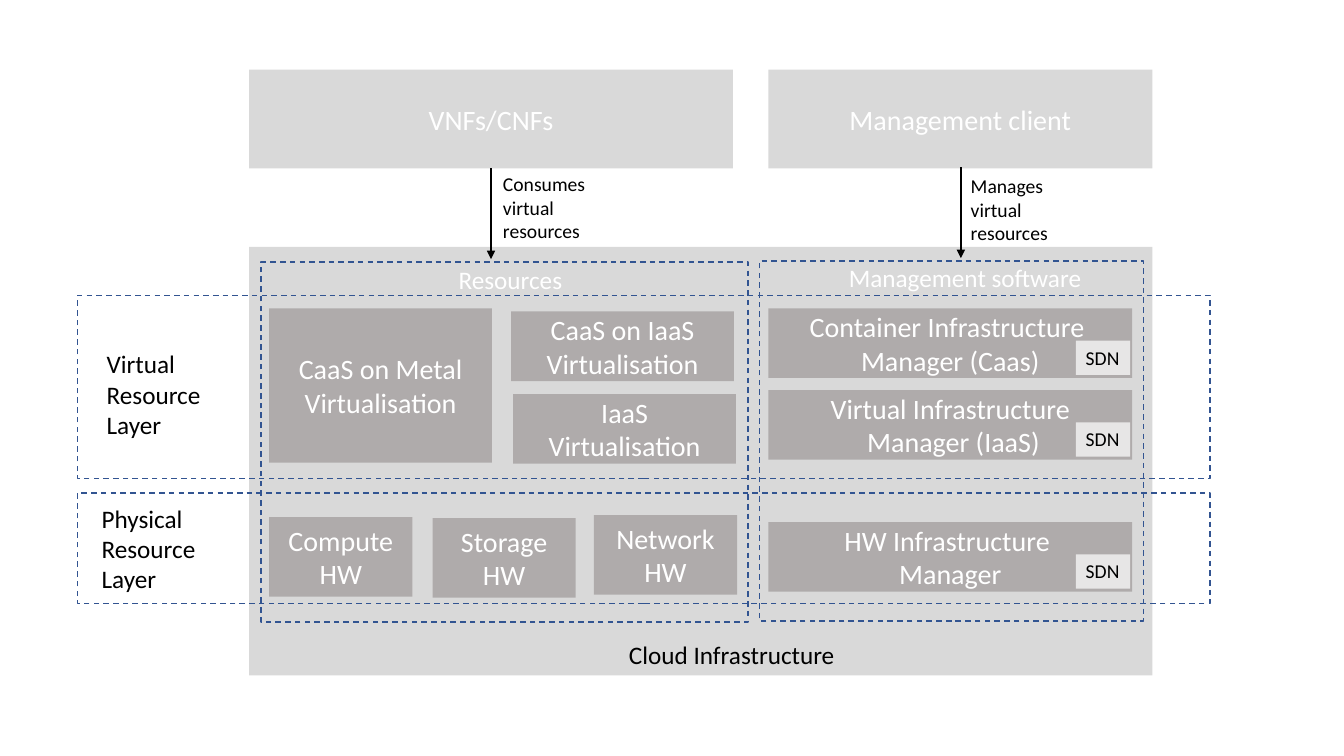
import pptx
import pptx.dml.color
import pptx.enum.dml
import pptx.enum.shapes
import pptx.enum.text
import pptx.oxml
import pptx.oxml.ns
import pptx.util

Inches = pptx.util.Inches
Pt = pptx.util.Pt
ALIGN = pptx.enum.text.PP_ALIGN
ANCHOR = pptx.enum.text.MSO_ANCHOR

FONT = "Calibri"
COLORS = {"panel": "D9D9D9", "block": "AFABAB", "tag": "E7E6E6",
          "frame": "325491", "black": "000000", "white": "FFFFFF"}

# Content: left, top, width, height in inches, then lines of text
CLOUD = (2.47, 2.45, 8.96, 4.25)
CLIENTS = [
    (2.47, 0.69, 4.8, 0.98, ["VNFs/CNFs"]),
    (7.62, 0.69, 3.81, 0.98, ["Management client"]),
]
RESOURCES = [
    (2.67, 3.06, 2.21, 1.53, ["CaaS on Metal Virtualisation"]),
    (5.07, 3.09, 2.21, 0.69, ["CaaS on IaaS Virtualisation"]),
    (5.09, 3.91, 2.21, 0.69, ["IaaS Virtualisation"]),
    (2.67, 5.13, 1.42, 0.79, ["Compute HW"]),
    (4.29, 5.14, 1.42, 0.79, ["Storage HW"]),
    (5.89, 5.11, 1.42, 0.79, ["Network HW"]),
]
MANAGERS = [
    (3.06, ["Container Infrastructure ", "Manager (Caas)"]),
    (3.87, ["Virtual Infrastructure", " Manager (IaaS)"]),
    (5.18, ["HW Infrastructure ", "Manager"]),
]
FRAMES = [
    (0.77, 4.89, 11.23, 1.1),   # physical layer
    (0.77, 2.93, 11.23, 1.82),  # virtual layer
    (7.53, 2.59, 3.81, 3.57),   # management software
    (2.59, 2.6, 4.83, 3.57),    # resources
]
LABELS = [
    (6.14, 6.29, 2.26, 0.4, ["Cloud Infrastructure"], 18, "black"),
    (0.91, 4.94, 1.14, 1.01, ["Physical ", "Resource", "Layer"], 18, "black"),
    (0.96, 3.41, 1.14, 1.01, ["Virtual ", "Resource", "Layer"], 18, "black"),
    (8.32, 2.55, 2.54, 0.4, ["Management software"], 18, "white"),
    (4.45, 2.57, 1.24, 0.4, ["Resources"], 18, "white"),
    (4.89, 1.66, 1.07, 0.81, ["Consumes ", "virtual ", "resources"], 14, "black"),
    (9.53, 1.68, 0.97, 0.81, ["Manages", "virtual ", "resources"], 14, "black"),
]
ARROWS = [(4.87, 1.67), (9.53, 1.66)]
ARROW_LENGTH = 0.9

deck = pptx.Presentation()
deck.slide_width, deck.slide_height = Inches(13.33), Inches(7.5)
page = deck.slides.add_slide(deck.slide_layouts[6])


def rgb(name):
    return pptx.dml.color.RGBColor.from_string(COLORS[name])


def write(shape, lines, size, color, align, anchor, wrap):
    frame = shape.text_frame
    frame.word_wrap = wrap
    frame.vertical_anchor = anchor
    for index, line in enumerate(lines):
        para = frame.paragraphs[0] if index == 0 else frame.add_paragraph()
        para.alignment = align
        span = para.add_run()
        span.text = line
        span.font.name, span.font.size = FONT, Pt(size)
        span.font.color.rgb = rgb(color)


def add_box(place, fill=None):
    box = page.shapes.add_shape(pptx.enum.shapes.MSO_SHAPE.RECTANGLE,
                                *map(Inches, place))
    box.shadow.inherit = False
    if fill:
        box.fill.solid()
        box.fill.fore_color.rgb = rgb(fill)
        box.line.fill.background()
    else:
        box.fill.background()
        box.line.color.rgb = rgb("frame")
        box.line.width = Pt(1)
        box.line.dash_style = pptx.enum.dml.MSO_LINE.DASH
    return box


def add_block(place, lines, fill):
    write(add_box(place, fill), lines, 20, "white",
          ALIGN.CENTER, ANCHOR.MIDDLE, True)


# Panels and blocks
add_box(CLOUD, "panel")
for *place, lines in CLIENTS:
    add_block(place, lines, "panel")
for *place, lines in RESOURCES:
    add_block(place, lines, "block")

# Managers, each with its SDN tag
for top, lines in MANAGERS:
    add_block((7.62, top, 3.61, 0.69), lines, "block")
    tag = add_box((10.67, top + 0.32, 0.54, 0.34), "tag")
    write(tag, ["SDN"], 14, "black", ALIGN.LEFT, ANCHOR.TOP, False)

# Dashed frames and labels
for place in FRAMES:
    add_box(place)
for *place, lines, size, color in LABELS:
    label = page.shapes.add_textbox(*map(Inches, place))
    write(label, lines, size, color, ALIGN.LEFT, ANCHOR.TOP, False)

# Arrows down into the cloud
for x, top in ARROWS:
    arrow = page.shapes.add_connector(
        pptx.enum.shapes.MSO_CONNECTOR.STRAIGHT,
        Inches(x), Inches(top), Inches(x), Inches(top + ARROW_LENGTH))
    arrow.line.color.rgb = rgb("black")
    arrow.line.width = Pt(1.75)
    head = pptx.oxml.parse_xml(
        '<a:tailEnd %s type="triangle"/>' % pptx.oxml.ns.nsdecls("a"))
    arrow.line._get_or_add_ln().append(head)
    effects = pptx.oxml.parse_xml(
        "<a:effectLst %s/>" % pptx.oxml.ns.nsdecls("a"))
    arrow._element.spPr.append(effects)

deck.save("out.pptx")
